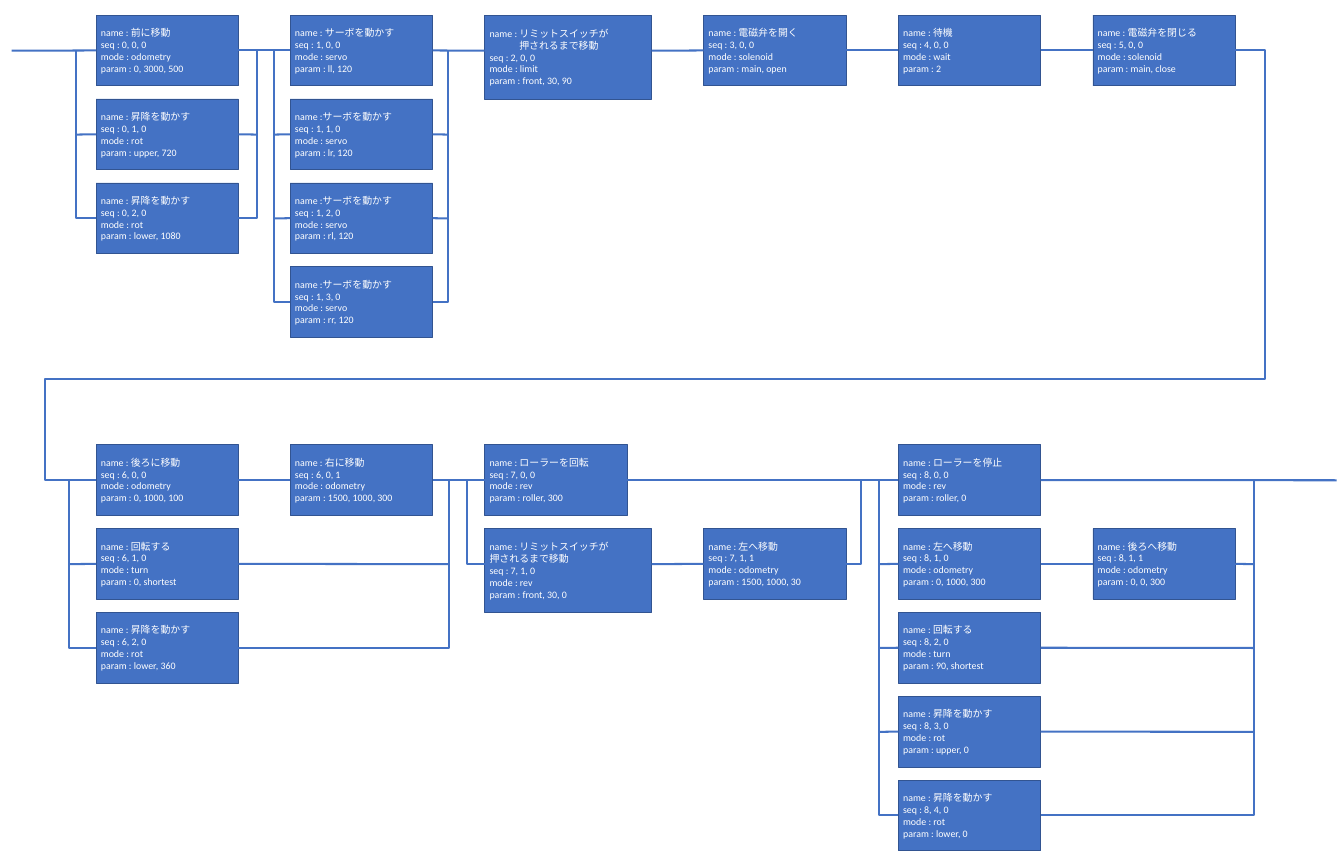
from dataclasses import dataclass
from typing import Optional

import lxml.etree
import pptx
import pptx.dml.color
import pptx.enum.shapes
import pptx.enum.text
import pptx.oxml.ns
import pptx.util

Inches = pptx.util.Inches
qn = pptx.oxml.ns.qn

COLORS = {"blue": "4472C4", "border": "325491", "text": "FFFFFF"}
COLUMNS = (1.97, 5.95, 9.94, 14.43, 18.42, 22.41)
ROW_PITCH = 1.72
UPPER_TOP, LOWER_TOP = 0.31, 9.12
FIRST_LOWER_PHASE = 6
BOX_W, BOX_H = 2.92, 1.45
TALL_W, TALL_H = 3.42, 1.72
MIDDLE = 0.73  # from the top of a row to its line
LEFT, RIGHT = 1, 3  # connection sites of a rectangle


@dataclass(frozen=True)
class Step:
    seq: str
    column: int
    name: str
    mode: str
    param: str
    name_tail: str = ""
    tail_indent: float = 0

    @property
    def top(self) -> float:
        phase, track, _ = map(int, self.seq.split(", "))
        start = UPPER_TOP if phase < FIRST_LOWER_PHASE else LOWER_TOP
        return start + track * ROW_PITCH

    @property
    def size(self) -> tuple[float, float]:
        return (TALL_W, TALL_H) if self.name_tail else (BOX_W, BOX_H)


@dataclass(frozen=True)
class End:
    """A free point, or a side of a step's box when seq is given."""
    x: float = 0
    y: float = 0
    seq: str = ""
    side: int = LEFT


@dataclass(frozen=True)
class Bus:
    """A vertical line that joins parallel tracks to the main line."""
    x: float
    side: int
    seqs: tuple[str, ...]


STEPS = (
    Step("0, 0, 0", 0, " 前に移動", "odometry", "0, 3000, 500"),
    Step("0, 1, 0", 0, " 昇降を動かす", "rot", "upper, 720"),
    Step("0, 2, 0", 0, " 昇降を動かす", "rot", "lower, 1080"),
    Step("1, 0, 0", 1, " サーボを動かす", "servo", "ll, 120"),
    Step("1, 1, 0", 1, "サーボを動かす", "servo", "lr, 120"),
    Step("1, 2, 0", 1, "サーボを動かす", "servo", "rl, 120"),
    Step("1, 3, 0", 1, "サーボを動かす", "servo", "rr, 120"),
    Step("2, 0, 0", 2, " リミットスイッチが", "limit", "front, 30, 90", "押されるまで移動", 0.61),
    Step("3, 0, 0", 3, " 電磁弁を開く", "solenoid", "main, open"),
    Step("4, 0, 0", 4, " 待機", "wait", "2"),
    Step("5, 0, 0", 5, " 電磁弁を閉じる", "solenoid", "main, close"),
    Step("6, 0, 0", 0, " 後ろに移動", "odometry", "0, 1000, 100"),
    Step("6, 1, 0", 0, " 回転する", "turn", "0, shortest"),
    Step("6, 2, 0", 0, " 昇降を動かす", "rot", "lower, 360"),
    Step("6, 0, 1", 1, " 右に移動", "odometry", "1500, 1000, 300"),
    Step("7, 0, 0", 2, " ローラーを回転", "rev", "roller, 300"),
    Step("7, 1, 0", 2, " リミットスイッチが", "rev", "front, 30, 0", "押されるまで移動"),
    Step("7, 1, 1", 3, " 左へ移動", "odometry", "1500, 1000, 30"),
    Step("8, 0, 0", 4, " ローラーを停止", "rev", "roller, 0"),
    Step("8, 1, 0", 4, " 左へ移動", "odometry", "0, 1000, 300"),
    Step("8, 2, 0", 4, " 回転する", "turn", "90, shortest"),
    Step("8, 1, 1", 5, " 後ろへ移動", "odometry", "0, 0, 300"),
    Step("8, 3, 0", 4, " 昇降を動かす", "rot", "upper, 0"),
    Step("8, 4, 0", 4, " 昇降を動かす", "rot", "lower, 0"),
)
STEP_BY_SEQ = {step.seq: step for step in STEPS}

# Steps that follow one another on the same line
CHAINS = (
    ("0, 0, 0", "1, 0, 0", "2, 0, 0", "3, 0, 0", "4, 0, 0", "5, 0, 0"),
    ("6, 0, 0", "6, 0, 1", "7, 0, 0", "8, 0, 0"),
    ("7, 1, 0", "7, 1, 1"),
    ("8, 1, 0", "8, 1, 1"),
)
BUSES = (
    Bus(1.55, LEFT, ("0, 1, 0", "0, 2, 0")),
    Bus(5.27, RIGHT, ("0, 1, 0", "0, 2, 0")),
    Bus(5.61, LEFT, ("1, 1, 0", "1, 2, 0", "1, 3, 0")),
    Bus(9.18, RIGHT, ("1, 1, 0", "1, 2, 0", "1, 3, 0")),
    Bus(1.41, LEFT, ("6, 1, 0", "6, 2, 0")),
    Bus(9.21, RIGHT, ("6, 1, 0", "6, 2, 0")),
    Bus(17.66, RIGHT, ("7, 1, 1",)),
    Bus(18.02, LEFT, ("8, 1, 0", "8, 2, 0", "8, 3, 0", "8, 4, 0")),
    Bus(25.72, RIGHT, ("8, 1, 1", "8, 2, 0", "8, 3, 0", "8, 4, 0")),
)


def rgb(key: str) -> pptx.dml.color.RGBColor:
    return pptx.dml.color.RGBColor.from_string(COLORS[key])


def draw_step(slide, step: Step):
    box = slide.shapes.add_shape(
        pptx.enum.shapes.MSO_SHAPE.RECTANGLE,
        Inches(COLUMNS[step.column]), Inches(step.top), *map(Inches, step.size))
    box.shadow.inherit = False
    box.fill.solid()
    box.fill.fore_color.rgb = rgb("blue")
    box.line.color.rgb = rgb("border")
    box.line.width = pptx.util.Pt(1)
    frame = box.text_frame
    frame.word_wrap = True
    frame.vertical_anchor = pptx.enum.text.MSO_ANCHOR.MIDDLE
    lines = [f"name :{step.name}", step.name_tail, f"seq : {step.seq}",
             f"mode : {step.mode}", f"param : {step.param}"]
    for number, line in enumerate(filter(None, lines)):
        paragraph = frame.add_paragraph() if number else frame.paragraphs[0]
        paragraph.alignment = pptx.enum.text.PP_ALIGN.LEFT
        if line == step.name_tail and step.tail_indent:
            properties = paragraph._p.get_or_add_pPr()
            properties.set("marL", str(Inches(step.tail_indent)))
            properties.set("indent", "0")
        run = paragraph.add_run()
        run.text = line
        run.font.name = "Calibri"
        run.font.size = pptx.util.Pt(14.6)
        run.font.color.rgb = rgb("text")
    return box


def locate(end: End) -> tuple[float, float]:
    if not end.seq:
        return end.x, end.y
    step = STEP_BY_SEQ[end.seq]
    width = step.size[0] if end.side == RIGHT else 0
    return COLUMNS[step.column] + width, step.top + MIDDLE


def draw_link(slide, boxes: dict, start: End, finish: End,
              bend: Optional[str] = None, adjust: tuple[int, ...] = ()) -> None:
    kinds = pptx.enum.shapes.MSO_CONNECTOR
    link = slide.shapes.add_connector(
        kinds.ELBOW if bend else kinds.STRAIGHT,
        *map(Inches, locate(start) + locate(finish)))
    # Lines meet tall boxes above the middle of the side, so those stay free
    for end, join in ((start, link.begin_connect), (finish, link.end_connect)):
        if end.seq and not STEP_BY_SEQ[end.seq].name_tail:
            join(boxes[end.seq], end.side)
    link.line.color.rgb = rgb("blue")
    link.line.width = pptx.util.Pt(3)
    properties = link._element.spPr
    lxml.etree.SubElement(properties, qn("a:effectLst"))
    if bend:
        geometry = properties.find(qn("a:prstGeom"))
        geometry.set("prst", bend)
        guides = geometry.find(qn("a:avLst"))
        for number, value in enumerate(adjust, 1):
            lxml.etree.SubElement(guides, qn("a:gd"), name=f"adj{number}", fmla=f"val {value}")


def draw_bus(slide, boxes: dict, bus: Bus) -> None:
    *inner, last = bus.seqs
    for seq in inner:
        stub = End(seq=seq, side=bus.side)
        draw_link(slide, boxes, stub, End(bus.x, locate(stub)[1]))
    main_y = (UPPER_TOP if int(last[0]) < FIRST_LOWER_PHASE else LOWER_TOP) + MIDDLE
    draw_link(slide, boxes, End(seq=last, side=bus.side), End(bus.x, main_y), "bentConnector2")


def main() -> None:
    deck = pptx.Presentation()
    deck.slide_width, deck.slide_height = Inches(27.56), Inches(17.72)
    slide = deck.slides.add_slide(deck.slide_layouts[6])

    # Step boxes
    boxes = {step.seq: draw_step(slide, step) for step in STEPS}

    # Lines along each chain, with the entry and the exit
    for chain in CHAINS:
        for before, after in zip(chain, chain[1:]):
            draw_link(slide, boxes, End(seq=before, side=RIGHT), End(seq=after))
    draw_link(slide, boxes, End(seq="0, 0, 0"), End(0.24, UPPER_TOP + MIDDLE))
    draw_link(slide, boxes, End(seq="8, 0, 0", side=RIGHT), End(27.41, LOWER_TOP + MIDDLE))

    # Return from the upper line to the lower one
    draw_link(slide, boxes, End(seq="5, 0, 0", side=RIGHT), End(seq="6, 0, 0"),
              "bentConnector5", (-2600, 76400, 104500))

    # Parallel tracks
    for bus in BUSES:
        draw_bus(slide, boxes, bus)
    draw_link(slide, boxes, End(9.57, LOWER_TOP + MIDDLE), End(seq="7, 1, 0"),
              "bentConnector3", (0,))

    deck.save("out.pptx")


if __name__ == "__main__":
    main()
